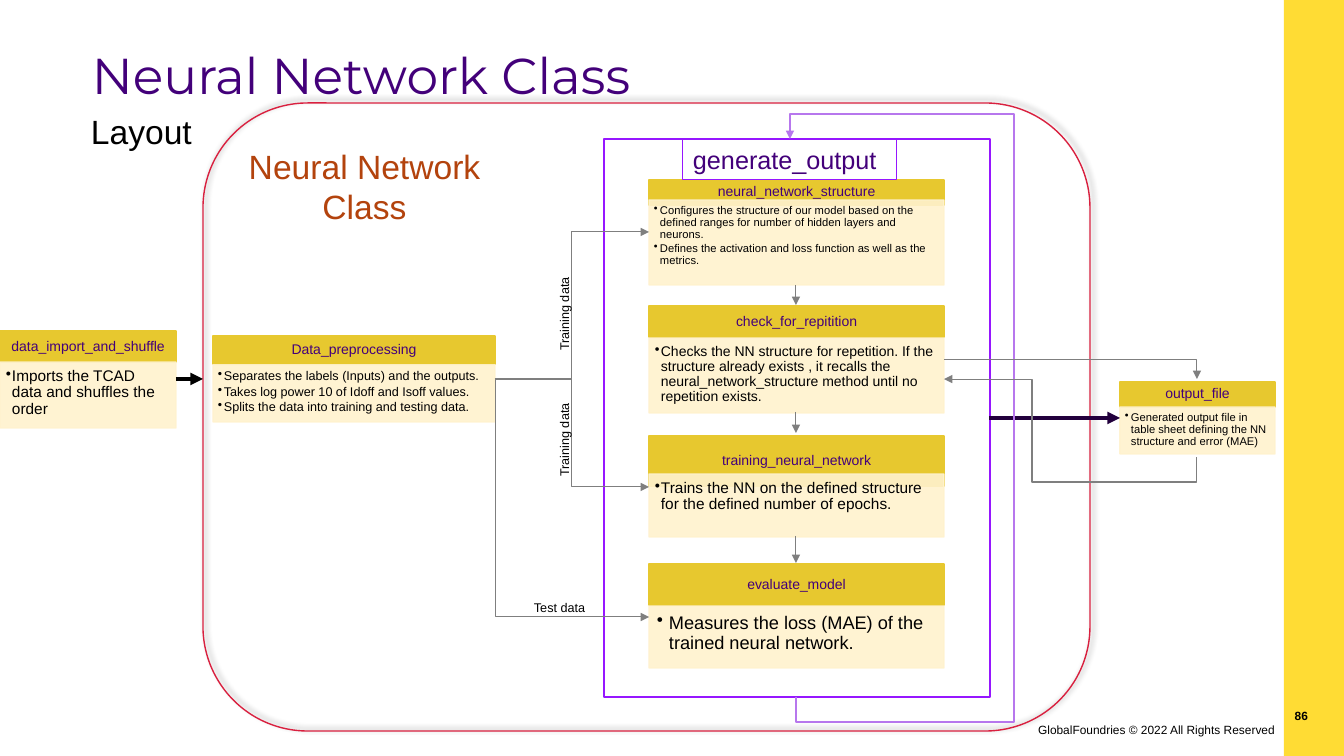
from dataclasses import dataclass

from lxml.etree import SubElement
from pptx import Presentation
from pptx.dml.color import RGBColor
from pptx.enum.shapes import MSO_CONNECTOR, MSO_SHAPE
from pptx.enum.text import MSO_ANCHOR, PP_ALIGN
from pptx.oxml.ns import qn
from pptx.util import Pt

PX = 12192000 / 1344


@dataclass(frozen=True)
class Theme:
    black: str = "000000"
    yellow: str = "FFDC34"
    gold: str = "E7C82F"
    cream: str = "FFF2CE"
    purple: str = "43007A"
    violet: str = "9616FF"
    lilac: str = "B777ED"
    night: str = "22003D"
    red: str = "D9203F"
    rust: str = "B3430D"
    gray: str = "7F7F7F"
    font: str = "Arial"
    display: str = "Montserrat"
    title: int = 36
    lead: int = 24
    method: int = 18
    head: int = 10
    label: int = 9
    small: float = 8.5


T = Theme()


def px(*values):
    return [round(v * PX) for v in values]


def rgb(color):
    return RGBColor.from_string(color)


def pad(frame, insets):
    (frame.margin_left, frame.margin_top,
     frame.margin_right, frame.margin_bottom) = px(*insets)
    frame.word_wrap = True


def write(para, text, size, color, font=T.font, bold=False):
    run = para.add_run()
    run.text = text
    run.font.size, run.font.name, run.font.bold = Pt(size), font, bold
    run.font.color.rgb = rgb(color)


def label(slide, box, text, size, color=T.black, font=T.font, bold=False,
          align=PP_ALIGN.LEFT, insets=(10, 5, 10, 5), turn=0):
    shape = slide.shapes.add_textbox(*px(*box))
    shape.rotation = turn
    pad(shape.text_frame, insets)
    para = shape.text_frame.paragraphs[0]
    para.alignment = align
    write(para, text, size, color, font, bold)


def block(slide, box, fill=None, line=None, width=1, kind=MSO_SHAPE.RECTANGLE):
    shape = slide.shapes.add_shape(kind, *px(*box))
    shape.shadow.inherit = False
    if fill:
        shape.fill.solid()
        shape.fill.fore_color.rgb = rgb(fill)
    else:
        shape.fill.background()
    if line:
        shape.line.color.rgb = rgb(line)
        shape.line.width = Pt(width)
    else:
        shape.line.fill.background()
    return shape


def fade(node, percent):
    SubElement(node, qn("a:alpha"), val=str(percent * 1000))


def card(slide, box, drop, name, size, points):
    """Header of box's size, with a body of height drop[1] starting drop[0] below its top."""
    x, y, w, h = box
    head = block(slide, box, T.gold, T.gold)
    frame = head.text_frame
    pad(frame, (8, 4, 8, 4))
    frame.vertical_anchor = MSO_ANCHOR.MIDDLE
    para = frame.paragraphs[0]
    para.alignment, para.line_spacing = PP_ALIGN.CENTER, 0.9
    write(para, name, T.head, T.purple)

    body = block(slide, (x, y + drop[0], w, drop[1]), T.cream, T.cream)
    for node in list(body._element.spPr.iter(qn("a:srgbClr"))):
        fade(node, 90)
    frame = body.text_frame
    edge = round(size * 0.58)
    pad(frame, (edge, edge, size - 2, size - 1))
    frame.vertical_anchor = MSO_ANCHOR.TOP
    hang = px(12 if size > 12 else 6)[0]
    for i, point in enumerate(points):
        para = frame.add_paragraph() if i else frame.paragraphs[0]
        para.alignment, para.line_spacing = PP_ALIGN.LEFT, 0.9
        para.space_after = Pt(round(size * 0.15, 1))
        props = para._p.get_or_add_pPr()
        props.set("marL", str(hang))
        props.set("indent", str(-hang))
        SubElement(props, qn("a:buChar"), char="•")
        write(para, point, size, T.black)


def arrow(slide, start, end, color=T.gray, width=0.75, kind=MSO_CONNECTOR.STRAIGHT):
    link = slide.shapes.add_connector(kind, *px(*start, *end))
    link.line.color.rgb = rgb(color)
    link.line.width = Pt(width)
    SubElement(link.line._get_or_add_ln(), qn("a:tailEnd"), type="triangle")
    SubElement(link._element.spPr, qn("a:effectLst"))
    return link


def bend(slide, box, bends, turn=0, stops=(), color=T.gray, width=0.75):
    """Elbow arrow filling box; stops are px along its own axes, in turn across and down."""
    x, y, w, h = box
    if turn:
        x, y, w, h = x + (w - h) / 2, y + (h - w) / 2, h, w
    link = arrow(slide, (x, y), (x + w, y + h), color, width, MSO_CONNECTOR.ELBOW)
    props = link._element.spPr
    if turn:
        props.xfrm.set("rot", str(turn * 60000))
        props.xfrm.set("flipH", "1")
    shape = props.find(qn("a:prstGeom"))
    shape.set("prst", f"bentConnector{bends}")
    guides = shape.find(qn("a:avLst"))
    for i, stop in enumerate(stops):
        share = round(stop / (h if i % 2 else w) * 100000)
        SubElement(guides, qn("a:gd"), name=f"adj{i + 1}", fmla=f"val {share}")


def page(slide):
    block(slide, (1284, 0, 60, 756), T.yellow)
    label(slide, (92, 44, 1113, 62), "Neural Network Class", T.title, T.purple,
          T.display, insets=(0, 0, 0, 0))
    label(slide, (91, 111, 108, 43), "Layout", T.lead, insets=(0, 0, 0, 0))
    label(slide, (1018, 718, 267, 40), "GlobalFoundries © 2022 All Rights Reserved",
          T.small, align=PP_ALIGN.RIGHT)
    label(slide, (1276, 704, 42, 40), "86", T.small, bold=True,
          align=PP_ALIGN.RIGHT, insets=(0, 5, 10, 5))


def steps(slide):
    card(slide, (213, 336, 282, 28), (29, 57), "Data_preprocessing", 9, [
        "Separates the labels (Inputs) and the outputs.",
        "Takes log power 10 of Idoff and Isoff values.",
        "Splits the data into training and testing data."])
    card(slide, (0, 331, 176, 31), (31, 66), "data_import_and_shuffle", 11, [
        "Imports the TCAD data and shuffles the order"])
    card(slide, (1120, 382, 155, 25), (25, 47), "output_file", 8, [
        "Generated output file in table sheet defining the NN structure and error (MAE)"])
    methods = [
        (180, 25, (20, 85), "neural_network_structure", 8, [
            "Configures the structure of our model based on the defined ranges "
            "for number of hidden layers and neurons.",
            "Defines the activation and loss function as well as the metrics."]),
        (306, 31, (32, 75), "check_for_repitition", 10, [
            "Checks the NN structure for repetition. If the structure already exists , "
            "it recalls the neural_network_structure method until no repetition exists."]),
        (436, 50, (38, 63), "training_neural_network", 11, [
            "Trains the NN on the defined structure for the defined number of epochs."]),
        (564, 41, (42, 62), "evaluate_model", 13, [
            "Measures the loss (MAE) of the trained neural network."])]
    for y, h, drop, name, size, points in methods:
        card(slide, (649, y, 295, h), drop, name, size, points)


def scopes(slide):
    block(slide, (604, 139, 386, 558), line=T.violet)
    tag = block(slide, (683, 139, 214, 41), line=T.violet, width=0.75)
    pad(tag.text_frame, (10, 5, 10, 5))
    para = tag.text_frame.paragraphs[0]
    para.alignment = PP_ALIGN.LEFT
    write(para, "generate_output", T.method, T.purple)

    ring = block(slide, (203, 103, 887, 628), line=T.red, kind=MSO_SHAPE.ROUNDED_RECTANGLE)
    glow = SubElement(ring._element.spPr.find(qn("a:effectLst")), qn("a:outerShdw"),
                      blurRad=str(Pt(4)), dist=str(Pt(3)), dir=str(315 * 60000),
                      algn="bl", rotWithShape="0")
    fade(SubElement(glow, qn("a:srgbClr"), val=T.black), 40)
    label(slide, (199, 141, 331, 92), "Neural Network Class", T.lead, T.rust,
          align=PP_ALIGN.CENTER)


def flows(slide):
    for y in (232, 487):
        arrow(slide, (495, 379), (649, y), kind=MSO_CONNECTOR.ELBOW)
    for top, end in ((285, 305), (412, 433), (536, 563)):
        arrow(slide, (796, top), (796, end))
    arrow(slide, (176, 379), (203, 379), T.black, 3)
    arrow(slide, (989, 418), (1120, 418), T.night, 3)
    bend(slide, (790, 139, 6, 558), 5, 90, (-25, -218, 583), T.lilac, 1.5)
    bend(slide, (944, 360, 253, 19), 2)
    bend(slide, (495, 379, 154, 238), 2, 270)
    bend(slide, (944, 379, 253, 78), 4, 90, (-25, 165))
    for y in (282, 408):
        label(slide, (498, y, 132, 25), "Training data", T.label, turn=270)
    label(slide, (524, 595, 132, 25), "Test data", T.label)


def main():
    deck = Presentation()
    deck.slide_width, deck.slide_height = px(1344, 756)
    slide = deck.slides.add_slide(deck.slide_layouts[6])
    for draw in (page, steps, scopes, flows):
        draw(slide)
    deck.save("out.pptx")


if __name__ == "__main__":
    main()
